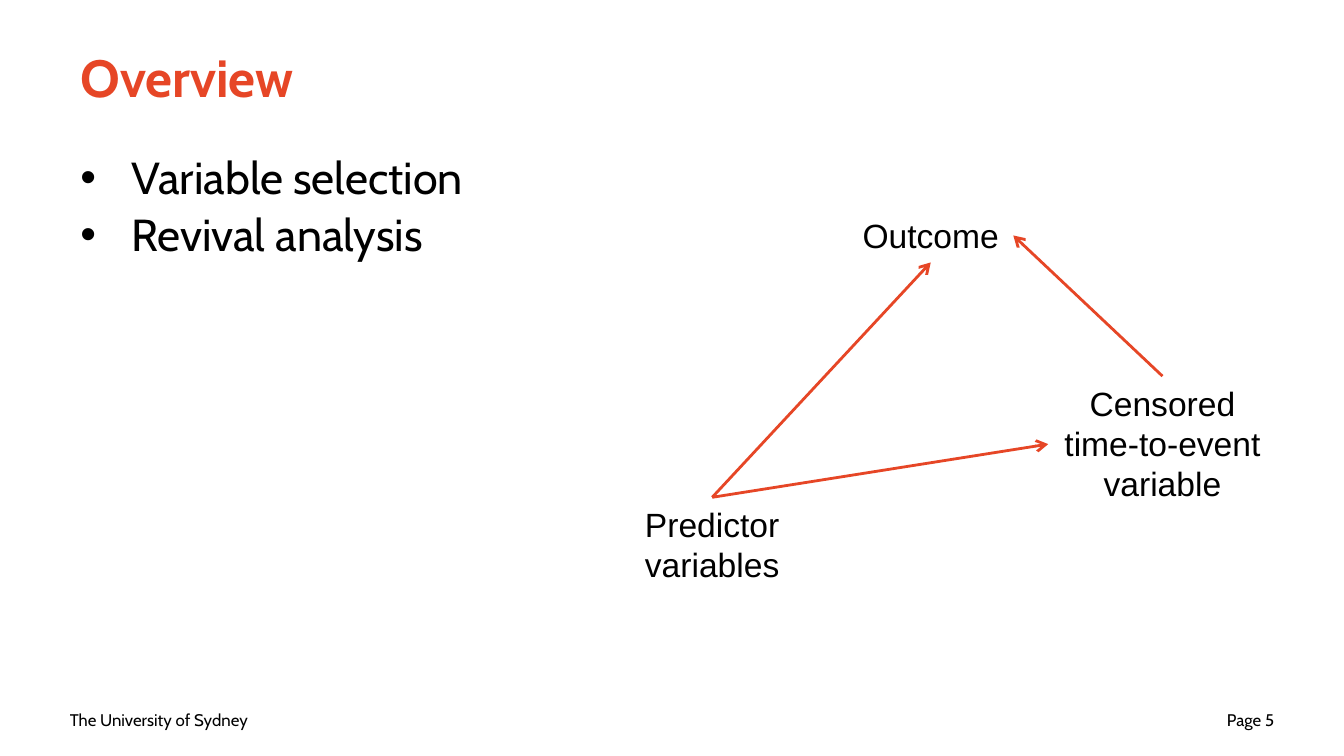
from dataclasses import dataclass

from lxml.etree import SubElement
from pptx import Presentation
from pptx.dml.color import RGBColor
from pptx.enum.shapes import MSO_CONNECTOR
from pptx.enum.text import MSO_ANCHOR, MSO_AUTO_SIZE, PP_ALIGN
from pptx.oxml.ns import qn
from pptx.util import Cm, Pt

TOP, LEFT, BASE, RIGHT = range(4)


@dataclass(frozen=True)
class Theme:
    """Colours, fonts and sizes of the slide."""
    accent: RGBColor = RGBColor(0xE6, 0x46, 0x26)
    ink: RGBColor = RGBColor(0, 0, 0)
    main: str = "Cabin"
    label: str = "Arial"
    head: int = 28
    body: int = 24
    node: int = 18
    foot: int = 9
    line: float = 1.5


class Deck:
    """Holds the theme and the current slide."""

    def __init__(self, theme):
        """Start a deck with one title-only slide."""
        self.theme = theme
        self.file = Presentation()
        self.file.slide_width, self.file.slide_height = Cm(25.4), Cm(14.29)
        self.slide = self.file.slides.add_slide(self.file.slide_layouts[5])

    def style(self, para, size, font, color, bold=False):
        """Format the runs of a paragraph."""
        for run in para.runs:
            run.font.size, run.font.name = Pt(size), font
            run.font.color.rgb, run.font.bold = color, bold

    def box(self, x, y, w, h):
        """Add a wrapping text box."""
        shape = self.slide.shapes.add_textbox(Cm(x), Cm(y), Cm(w), Cm(h))
        shape.text_frame.word_wrap = True
        return shape

    def title(self, text, x, y, w, h):
        """Place and fill the title."""
        shape = self.slide.shapes.title
        shape.left, shape.top, shape.width, shape.height = Cm(x), Cm(y), Cm(w), Cm(h)
        frame = shape.text_frame
        frame.text = text
        frame.auto_size = MSO_AUTO_SIZE.NONE
        frame.vertical_anchor = MSO_ANCHOR.MIDDLE
        para = frame.paragraphs[0]
        para.alignment = PP_ALIGN.LEFT
        self.style(para, self.theme.head, self.theme.main, self.theme.accent, True)

    def bullets(self, items, x, y, w, h):
        """Add a bulleted list."""
        frame = self.box(x, y, w, h).text_frame
        frame.text = "\n".join(items)
        for i, para in enumerate(frame.paragraphs):
            props = para._p.get_or_add_pPr()
            props.set("marL", str(Cm(0.96)))
            props.set("indent", str(-Cm(0.96)))
            SubElement(props, qn("a:buFont")).set("typeface", self.theme.label)
            SubElement(props, qn("a:buChar")).set("char", "•")
            para.line_spacing = 0.9
            para.space_before = Pt(0.2 * self.theme.body if i else 0)
            self.style(para, self.theme.body, self.theme.main, self.theme.ink)

    def node(self, text, x, y, w, h, wrap=True):
        """Add a centred diagram label."""
        shape = self.box(x, y, w, h)
        frame = shape.text_frame
        frame.word_wrap = wrap
        frame.auto_size = MSO_AUTO_SIZE.SHAPE_TO_FIT_TEXT
        frame.text = text
        para = frame.paragraphs[0]
        para.alignment = PP_ALIGN.CENTER
        self.style(para, self.theme.node, self.theme.label, self.theme.ink)
        return shape

    def arrow(self, start, out, end, into):
        """Join two labels with an arrow."""
        link = self.slide.shapes.add_connector(MSO_CONNECTOR.STRAIGHT, 0, 0, 0, 0)
        link.begin_connect(start, out)
        link.end_connect(end, into)
        link.line.color.rgb = self.theme.accent
        link.line.width = Pt(self.theme.line)
        SubElement(link.line._get_or_add_ln(), qn("a:tailEnd")).set("type", "arrow")
        SubElement(link._element.spPr, qn("a:effectLst"))

    def foot(self, text, x, align):
        """Add a footer text."""
        frame = self.box(x, 13.23, 5.92, 0.76).text_frame
        frame.vertical_anchor = MSO_ANCHOR.MIDDLE
        frame.text = text
        para = frame.paragraphs[0]
        para.alignment = align
        self.style(para, self.theme.foot, self.theme.main, self.theme.ink)


def main():
    """Build and save the slide."""
    deck = Deck(Theme())
    deck.foot("The University of Sydney", 1.07, PP_ALIGN.LEFT)
    deck.foot("Page 5", 18.41, PP_ALIGN.RIGHT)
    deck.title("Overview", 1.27, 0.25, 22.86, 2.39)
    deck.bullets(["Variable selection", "Revival analysis"], 1.27, 2.82, 10.64, 7.57)
    goal = deck.node("Outcome", 16.03, 3.94, 3.12, 1.02, wrap=False)
    cause = deck.node("Predictor variables", 11.3, 9.4, 4.32, 1.8)
    event = deck.node("Censored time-to-event variable", 19.81, 7.11, 4.32, 2.57)
    deck.arrow(cause, TOP, goal, BASE)
    deck.arrow(cause, TOP, event, LEFT)
    deck.arrow(event, TOP, goal, RIGHT)
    deck.file.save("out.pptx")


if __name__ == "__main__":
    main()
